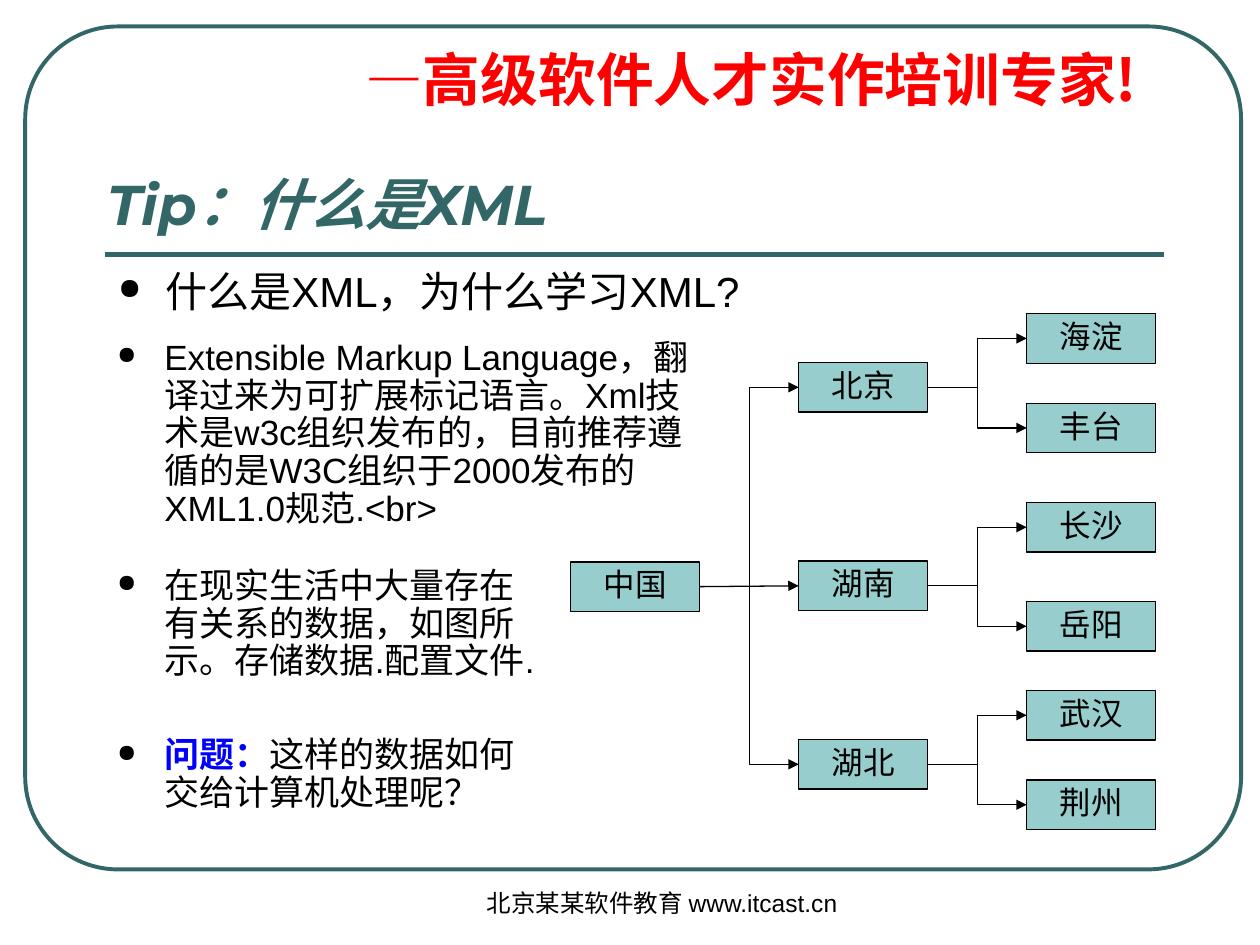
from lxml.etree import SubElement
from pptx import Presentation
from pptx.dml.color import RGBColor
from pptx.enum.shapes import MSO_CONNECTOR, MSO_SHAPE
from pptx.enum.text import MSO_ANCHOR, MSO_AUTO_SIZE, PP_ALIGN
from pptx.oxml.ns import qn
from pptx.util import Pt

TEAL = RGBColor(0x33, 0x66, 0x66)
AQUA = RGBColor(0x97, 0xCD, 0xCC)
RED = RGBColor(0xFF, 0, 0)
BLUE = RGBColor(0, 0, 0xFF)
BLACK = RGBColor(0, 0, 0)
BODY_FONT, HEAD_FONT, CJK_FONT = "Arial", "Montserrat", "Noto Sans CJK SC"
HANGING = 27

# Content
TITLE = "Tip：什么是XML"
SLOGAN = ("—", "高级软件人才实作培训专家!")
FOOTER = "北京某某软件教育 www.itcast.cn"

# Bullet boxes: (left, top, width, height), size, line spacing, gap, paragraphs of runs
BULLETS = [
    ((60.5, 148.3, 463.7, 41.8), 24, 1.0, 0,
     [[("什么是XML，为什么学习XML?", BLACK, False)]]),
    ((59.8, 321.1, 260.6, 168.5), 20, 0.9, 32,
     [[("在现实生活中大量存在有关系的数据，如图所示。存储数据.配置文件.", BLACK, False)],
      [("问题：", BLUE, True), ("这样的数据如何交给计算机处理呢？", BLACK, False)]]),
    ((59.8, 190.8, 351.4, 115.2), 20, 0.9, 0,
     [[("Extensible Markup Language，翻译过来为可扩展标记语言。Xml技术是w3c组织发布的，"
        "目前推荐遵循的是W3C组织于2000发布的XML1.0规范.<br>", BLACK, False)]]),
]

# Tree: name, top, children
TREE = ("中国", 321.1, [
    ("北京", 207.2, [("海淀", 179.3, []), ("丰台", 230.4, [])]),
    ("湖南", 320.6, [("长沙", 287.2, []), ("岳阳", 343.7, [])]),
    ("湖北", 422.6, [("武汉", 394.6, []), ("荆州", 445.7, [])]),
])
NODE_W, NODE_H = 73.8, 28.3
COLUMNS = (326, 456.4, 586.7)
RIGHT_SITE, LEFT_SITE = 3, 1

prs = Presentation()
prs.slide_width, prs.slide_height = Pt(720), Pt(540)
slide = prs.slides.add_slide(prs.slide_layouts[5])
shapes = slide.shapes


def format_run(run, font, size, color, bold=False, italic=False):
    run.font.name, run.font.size = font, Pt(size)
    run.font.color.rgb = color
    run.font.bold, run.font.italic = bold, italic


def add_text_area(left, top, width, height):
    frame = shapes.add_textbox(Pt(left), Pt(top), Pt(width), Pt(height)).text_frame
    frame.word_wrap = True
    return frame


def set_hanging(paragraph, bullet=False):
    props = paragraph._p.get_or_add_pPr()
    props.set("marL", str(Pt(HANGING)))
    props.set("indent", str(-Pt(HANGING)))
    if bullet:
        color = SubElement(SubElement(props, qn("a:buClr")), qn("a:srgbClr"))
        color.set("val", str(BLACK))
        SubElement(props, qn("a:buSzPct")).set("val", "70000")
        SubElement(props, qn("a:buChar")).set("char", "●")


def add_line(kind, start, end, color, width, arrow=False):
    line = shapes.add_connector(kind, *map(Pt, (*start, *end)))
    line.line.color.rgb, line.line.width = color, Pt(width)
    if arrow:
        SubElement(line.line._get_or_add_ln(), qn("a:tailEnd")).set("type", "triangle")
    SubElement(line._element.spPr, qn("a:effectLst"))
    return line


def add_node(name, left, top):
    node = shapes.add_shape(MSO_SHAPE.RECTANGLE, Pt(left), Pt(top), Pt(NODE_W), Pt(NODE_H))
    node.shadow.inherit = False
    node.fill.solid()
    node.fill.fore_color.rgb = AQUA
    node.line.color.rgb, node.line.width = BLACK, Pt(0.75)
    frame = node.text_frame
    frame.text = name
    frame.word_wrap = False
    frame.vertical_anchor = MSO_ANCHOR.MIDDLE
    label = frame.paragraphs[0]
    label.alignment, label.line_spacing = PP_ALIGN.CENTER, 0.9
    format_run(label.runs[0], BODY_FONT, 18, BLACK)
    return node


def add_branch(branch, level=0):
    name, top, children = branch
    parent = add_node(name, COLUMNS[level], top)
    start = (COLUMNS[level] + NODE_W, top + NODE_H / 2)
    for child in children:
        child_node = add_branch(child, level + 1)
        end = (COLUMNS[level + 1], child[1] + NODE_H / 2)
        level_run = abs(end[1] - start[1]) < 1
        kind = MSO_CONNECTOR.STRAIGHT if level_run else MSO_CONNECTOR.ELBOW
        link = add_line(kind, start, end, BLACK, 0.75, arrow=True)
        link.begin_connect(parent, RIGHT_SITE)
        link.end_connect(child_node, LEFT_SITE)
    return parent


# Frame and rule
border = shapes.add_shape(MSO_SHAPE.ROUNDED_RECTANGLE, Pt(14.4), Pt(15.1), Pt(694.8), Pt(481.7))
border.adjustments[0] = 0.11
border.shadow.inherit = False
border.fill.background()
border.line.color.rgb, border.line.width = TEAL, Pt(2.25)
add_line(MSO_CONNECTOR.STRAIGHT, (59.8, 145.4), (665.3, 145.4), TEAL, 3)

# Slogan
slogan = add_text_area(201.6, 25.9, 453.6, 78.5).paragraphs[0]
set_hanging(slogan)
slogan.line_spacing = 0.9
for part, font in zip(SLOGAN, (HEAD_FONT, CJK_FONT)):
    run = slogan.add_run()
    run.text = part
    format_run(run, font, 33, RED, bold=True)

# Footer
footer = add_text_area(264.2, 504, 228.2, 36).paragraphs[0]
footer.text = FOOTER
footer.alignment = PP_ALIGN.CENTER
format_run(footer.runs[0], BODY_FONT, 14, BLACK)

# Title
title = shapes.title
title.left, title.top, title.width, title.height = map(Pt, (54, 25.9, 606.2, 113))
title.text_frame.text = TITLE
title.text_frame.vertical_anchor = MSO_ANCHOR.BOTTOM
title.text_frame.auto_size = MSO_AUTO_SIZE.NONE
heading = title.text_frame.paragraphs[0]
heading.alignment = PP_ALIGN.LEFT
format_run(heading.runs[0], HEAD_FONT, 32, TEAL, bold=True, italic=True)

# Tree diagram
add_branch(TREE)

# Bullets
for box, size, spacing, gap, items in BULLETS:
    frame = add_text_area(*box)
    for index, parts in enumerate(items):
        item = frame.add_paragraph() if index else frame.paragraphs[0]
        set_hanging(item, bullet=True)
        item.line_spacing = spacing
        if index:
            item.space_before = Pt(gap)
        for words, color, bold in parts:
            run = item.add_run()
            run.text = words
            format_run(run, BODY_FONT, size, color, bold)

prs.save("out.pptx")
